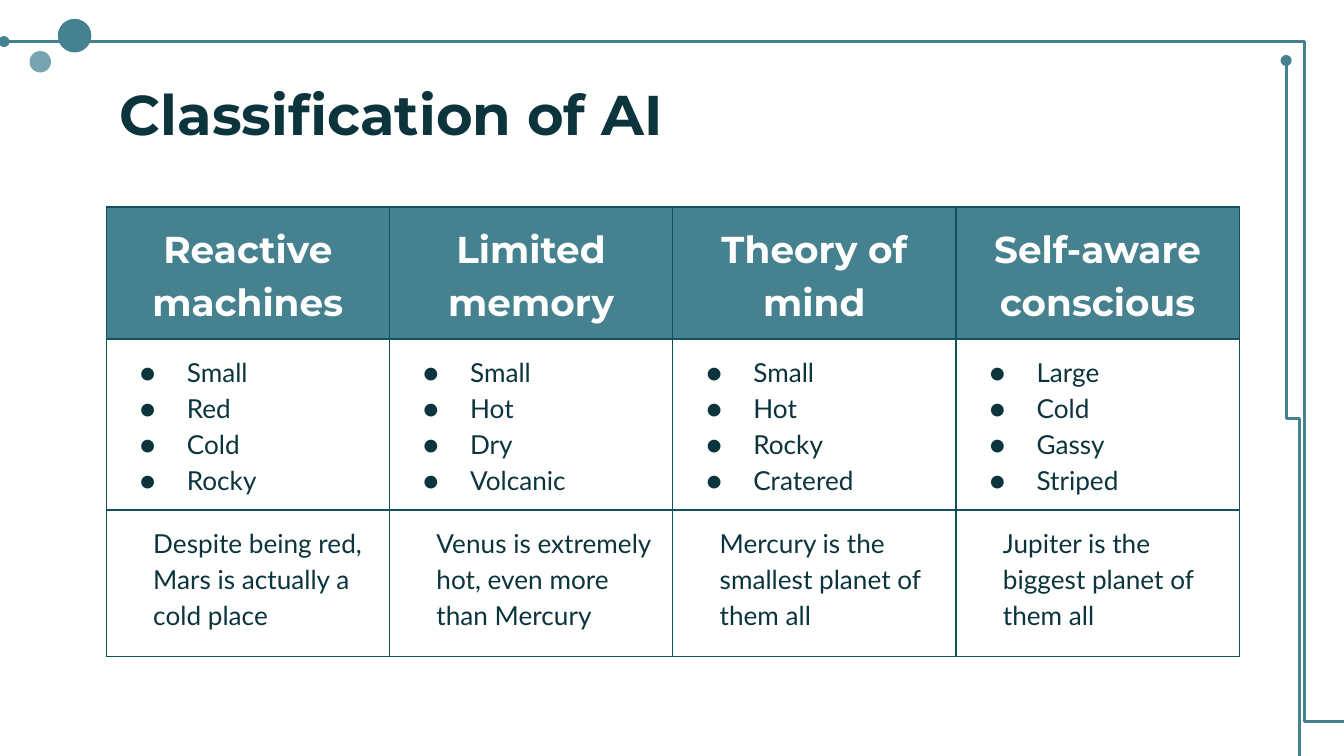
"""Build the "Classification of AI" table slide."""
from lxml.etree import SubElement
from pptx import Presentation
from pptx.dml.color import RGBColor
from pptx.enum.shapes import MSO_CONNECTOR, MSO_SHAPE
from pptx.enum.text import MSO_ANCHOR as Anchor, PP_ALIGN as Align
from pptx.oxml.ns import qn
from pptx.util import Inches, Pt

TITLE = "Classification of AI"
CLASSES = [
    ("Reactive machines", ["Small", "Red", "Cold", "Rocky"],
     "Despite being red, Mars is actually a cold place"),
    ("Limited memory", ["Small", "Hot", "Dry", "Volcanic"],
     "Venus is extremely hot, even more than Mercury"),
    ("Theory of mind", ["Small", "Hot", "Rocky", "Cratered"],
     "Mercury is the smallest planet of them all"),
    ("Self-aware conscious", ["Large", "Cold", "Gassy", "Striped"],
     "Jupiter is the biggest planet of them all"),
]
DOTS = [(0.22, 0.38, 0.16, "pale"), (0.43, 0.14, 0.25, "teal")]
FRAME_LINES = [
    {"start": (10.04, 5.37), "end": (0.03, 0.31), "bend": 0.033},
    {"start": (9.67, 5.78), "end": (9.57, 0.45), "bend": 0.5, "vertical": True},
]
THEME = {
    "teal": "45818E", "pale": "76A5AF", "ink": "0C343D", "white": "FFFFFF",
    "border": "134F5C", "heading": "Montserrat", "body": "Lato",
    "title_size": 30, "header_size": 20, "body_size": 14,
    "border_width": 0.75, "line_width": 1.5, "spacing": 1.15,
}
SLIDE_WIDTH = 10
SLIDE_HEIGHT = SLIDE_WIDTH * 9 / 16
CONTENT_LEFT, CONTENT_WIDTH, TABLE_TOP = 0.79, 8.43, 1.54
COLUMN_WIDTH = CONTENT_WIDTH / len(CLASSES)
ROW_HEIGHTS = [0.98, 1.27, 1.09]
INSET = 0.1


def color(name):
    return RGBColor.from_string(THEME[name])


def write_text(frame, lines, size, font="body", ink="ink", bold=False,
               align=Align.LEFT, spacing=None, indent=0, hanging=0, bullet=None):
    for index, line in enumerate(lines):
        paragraph = frame.paragraphs[0] if index == 0 else frame.add_paragraph()
        properties = paragraph._p.get_or_add_pPr()
        properties.set("marL", str(Inches(indent)))
        properties.set("indent", str(Inches(-hanging)))
        if bullet:
            bullet_color = SubElement(properties, qn("a:buClr"))
            SubElement(bullet_color, qn("a:srgbClr"), val=THEME[ink])
            SubElement(properties, qn("a:buSzPts"), val=str(THEME[size] * 100))
            SubElement(properties, qn("a:buFont"), typeface=THEME[font])
            SubElement(properties, qn("a:buChar"), char=bullet)
        paragraph.alignment = align
        if spacing:
            paragraph.line_spacing = spacing
        run = paragraph.add_run()
        run.text = line
        run.font.name = THEME[font]
        run.font.size = Pt(THEME[size])
        run.font.bold = bold
        run.font.color.rgb = color(ink)


def set_insets(target):
    for side in ("left", "top", "right", "bottom"):
        setattr(target, f"margin_{side}", Inches(INSET))


def add_dot(slide, left, top, diameter, fill):
    dot = slide.shapes.add_shape(MSO_SHAPE.OVAL, Inches(left), Inches(top),
                                 Inches(diameter), Inches(diameter))
    dot.shadow.inherit = False
    dot.fill.solid()
    dot.fill.fore_color.rgb = color(fill)
    dot.line.fill.background()


def add_bent_line(slide, start, end, bend, vertical=False):
    points = [start, end]
    if vertical:
        center_x, center_y = ((a + b) / 2 for a, b in zip(start, end))
        points = [(center_x + y - center_y, center_y - x + center_x) for x, y in points]
    connector = slide.shapes.add_connector(
        MSO_CONNECTOR.ELBOW, *(Inches(value) for point in points for value in point))
    connector.line.color.rgb = color("teal")
    connector.line.width = Pt(THEME["line_width"])
    properties = connector._element.spPr
    if vertical:
        properties.find(qn("a:xfrm")).set("rot", "5400000")
    geometry = properties.find(qn("a:prstGeom"))
    adjustments = geometry.find(qn("a:avLst"))
    if adjustments is None:
        adjustments = SubElement(geometry, qn("a:avLst"))
    SubElement(adjustments, qn("a:gd"), name="adj1", fmla=f"val {round(bend * 100000)}")
    SubElement(properties.find(qn("a:ln")), qn("a:tailEnd"), type="oval")
    SubElement(properties, qn("a:effectLst"))


def format_cell(cell, fill=None, anchor=Anchor.TOP):
    set_insets(cell)
    cell.vertical_anchor = anchor
    properties = cell._tc.get_or_add_tcPr()
    for side in ("lnL", "lnR", "lnT", "lnB"):
        border = SubElement(properties, qn(f"a:{side}"), w=str(Pt(THEME["border_width"])))
        solid = SubElement(border, qn("a:solidFill"))
        SubElement(solid, qn("a:srgbClr"), val=THEME["border"])
    if fill:
        cell.fill.solid()
        cell.fill.fore_color.rgb = color(fill)
    else:
        cell.fill.background()


def add_class_table(slide):
    table = slide.shapes.add_table(
        len(ROW_HEIGHTS), len(CLASSES), Inches(CONTENT_LEFT), Inches(TABLE_TOP),
        Inches(CONTENT_WIDTH), Inches(sum(ROW_HEIGHTS))).table
    table.first_row = table.horz_banding = False
    for row, height in zip(table.rows, ROW_HEIGHTS):
        row.height = Inches(height)
    for index, (name, traits, remark) in enumerate(CLASSES):
        table.columns[index].width = Inches(COLUMN_WIDTH)
        header, trait_cell, remark_cell = (
            table.cell(row, index) for row in range(len(ROW_HEIGHTS)))
        format_cell(header, fill="teal", anchor=Anchor.MIDDLE)
        format_cell(trait_cell)
        format_cell(remark_cell)
        spacing = THEME["spacing"]
        write_text(header.text_frame, [name], "header_size", font="heading", ink="white",
                   bold=True, align=Align.CENTER, spacing=spacing)
        write_text(trait_cell.text_frame, traits, "body_size", spacing=spacing,
                   indent=0.5, hanging=0.35, bullet="●")
        write_text(remark_cell.text_frame, [remark], "body_size", spacing=spacing,
                   indent=0.25)


def add_title(slide):
    title = slide.shapes.title
    title.left, title.top = Inches(CONTENT_LEFT), Inches(0.49)
    title.width, title.height = Inches(CONTENT_WIDTH), Inches(0.63)
    frame = title.text_frame
    frame.word_wrap = True
    frame.vertical_anchor = Anchor.TOP
    set_insets(frame)
    write_text(frame, [TITLE], "title_size", font="heading", bold=True)


def main():
    presentation = Presentation()
    presentation.slide_width = Inches(SLIDE_WIDTH)
    presentation.slide_height = Inches(SLIDE_HEIGHT)
    slide = presentation.slides.add_slide(presentation.slide_layouts[5])
    for dot in DOTS:
        add_dot(slide, *dot)
    for line in FRAME_LINES:
        add_bent_line(slide, **line)
    add_title(slide)
    add_class_table(slide)
    presentation.save("out.pptx")


if __name__ == "__main__":
    main()
